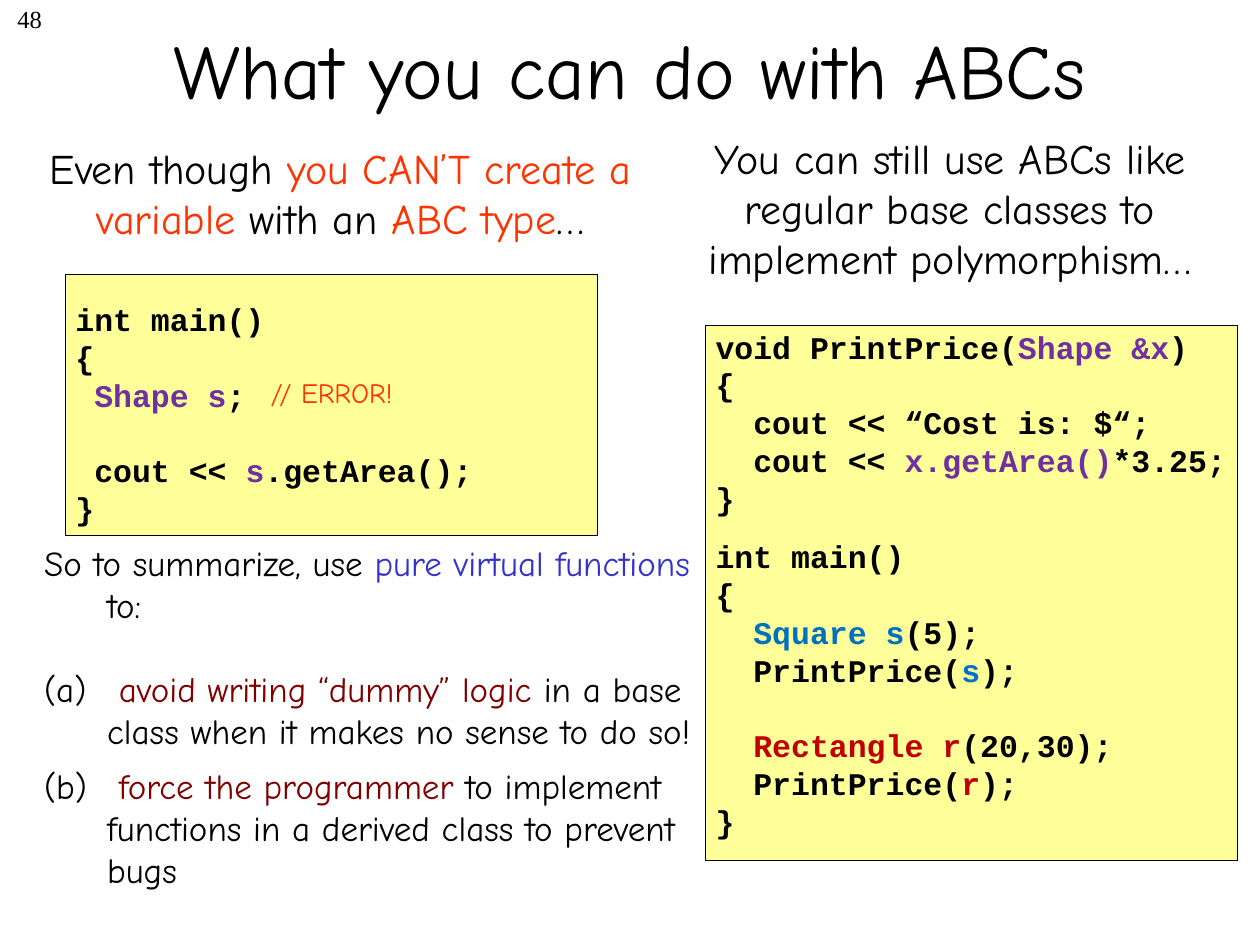
from dataclasses import dataclass

import pptx
import pptx.dml.color
import pptx.enum.shapes
import pptx.enum.text
import pptx.oxml
import pptx.oxml.ns
import pptx.util

Pt = pptx.util.Pt
Align = pptx.enum.text.PP_ALIGN
Anchor = pptx.enum.text.MSO_ANCHOR

HAND, CODE, SERIF = "Comic Neue", "Courier New", "Times New Roman"
BLACK, ORANGE, PURPLE, INDIGO = "000000", "FF3300", "7030A0", "3333CC"
BLUE, RED, MAROON, YELLOW = "0070C0", "C00000", "800000", "FFFF99"


@dataclass
class Box:
    left: float
    top: float
    width: float
    height: float


@dataclass
class Style:
    font: str
    size: float
    bold: bool = False
    align: Align = Align.LEFT
    line_spacing: float | None = None


@dataclass
class Line:
    """A paragraph; each piece is plain text or a (text, colour) pair."""
    pieces: list
    gap: float = 0
    bullet: str = ""


@dataclass
class CodePanel:
    frame: Box
    text: Box
    top_inset: float
    lines: list[Line]


HEADING = Style(HAND, 24, align=Align.CENTER)
LISTING = Style(CODE, 18, bold=True, line_spacing=21.6)

PANELS = [
    CodePanel(Box(37.4, 157, 304, 149), Box(36, 156, 312.5, 149), 15.6, [
        Line(["int main()"]),
        Line(["{"]),
        Line([" ", ("Shape s", PURPLE), ";"]),
        Line([" cout << ", ("s", PURPLE), ".getArea();"], gap=21.6),
        Line(["}"]),
    ]),
    CodePanel(Box(403.2, 185.8, 304, 306), Box(401.8, 183.6, 312.5, 300), 3.6, [
        Line(["void PrintPrice(", ("Shape &x", PURPLE), ")"]),
        Line(["{"]),
        Line(["  cout << “Cost is: $“;"]),
        Line(["  cout << ", ("x.getArea()", PURPLE), "*3.25;"]),
        Line(["}"]),
        Line(["int main()"], gap=12),
        Line(["{"]),
        Line(["  ", ("Square s", BLUE), "(5);"]),
        Line(["  PrintPrice(", ("s", BLUE), ");"]),
        Line(["  ", ("Rectangle r", RED), "(20,30);"], gap=21.6),
        Line(["  PrintPrice(", ("r", RED), ");"]),
        Line(["}"]),
    ]),
]

NO_BULLET = "<a:buNone {}/>"
LETTERED = '<a:buAutoNum {} type="alphaLcParenBoth"/>'

SUMMARY = [
    Line(["So to summarize, use ", ("pure virtual functions", INDIGO), " to:"],
         bullet=NO_BULLET),
    Line([" ", ("avoid writing “dummy” logic", MAROON),
          " in a base class when it makes no sense to do so!"],
         gap=24, bullet=LETTERED),
    Line([" ", ("force the programmer", MAROON),
          " to implement functions in a derived class to prevent bugs"],
         gap=7.4, bullet=LETTERED),
]


def rgb(colour: str) -> pptx.dml.color.RGBColor:
    return pptx.dml.color.RGBColor.from_string(colour)


def place(shape, box: Box) -> None:
    shape.left, shape.top = Pt(box.left), Pt(box.top)
    shape.width, shape.height = Pt(box.width), Pt(box.height)


def write(text_frame, lines: list[Line], style: Style) -> None:
    text_frame.auto_size = pptx.enum.text.MSO_AUTO_SIZE.NONE
    for index, line in enumerate(lines):
        paragraph = text_frame.add_paragraph() if index else text_frame.paragraphs[0]
        paragraph.alignment = style.align
        if style.line_spacing:
            paragraph.line_spacing = Pt(style.line_spacing)
        paragraph.space_before = Pt(line.gap)
        if line.bullet:
            properties = paragraph._p.get_or_add_pPr()
            properties.set("marL", str(Pt(36)))
            properties.set("indent", str(Pt(-36)))
            namespace = pptx.oxml.ns.nsdecls("a")
            properties.append(pptx.oxml.parse_xml(line.bullet.format(namespace)))
        paragraph.font.name = style.font
        paragraph.font.size = Pt(style.size)
        paragraph.font.bold = style.bold
        paragraph.font.color.rgb = rgb(BLACK)
        for piece in line.pieces:
            text, colour = (piece, None) if isinstance(piece, str) else piece
            run = paragraph.add_run()
            run.text = text
            if colour:
                run.font.color.rgb = rgb(colour)


def add_text(shapes, box: Box, lines: list[Line], style: Style, wrap: bool = True):
    shape = shapes.add_textbox(0, 0, 0, 0)
    place(shape, box)
    shape.text_frame.word_wrap = wrap
    write(shape.text_frame, lines, style)
    return shape


def add_code_panel(slide, panel: CodePanel) -> None:
    group = slide.shapes.add_group_shape()
    frame = group.shapes.add_shape(pptx.enum.shapes.MSO_SHAPE.RECTANGLE, 0, 0, 0, 0)
    place(frame, panel.frame)
    frame.shadow.inherit = False
    frame.fill.solid()
    frame.fill.fore_color.rgb = rgb(YELLOW)
    frame.line.color.rgb = rgb(BLACK)
    frame.line.width = Pt(0.25)
    listing = add_text(group.shapes, panel.text, panel.lines, LISTING)
    listing.text_frame.margin_top = Pt(panel.top_inset)
    # Fit the group to its children now that they are placed.
    boxes = (panel.frame, panel.text)
    left, top = min(box.left for box in boxes), min(box.top for box in boxes)
    right = max(box.left + box.width for box in boxes)
    bottom = max(box.top + box.height for box in boxes)
    transform = group._element.grpSpPr.get_or_add_xfrm()
    for offset in (transform.get_or_add_off(), transform.get_or_add_chOff()):
        offset.x, offset.y = Pt(left), Pt(top)
    for extent in (transform.get_or_add_ext(), transform.get_or_add_chExt()):
        extent.cx, extent.cy = Pt(right - left), Pt(bottom - top)


def fill_placeholder(shape, box: Box, lines: list[Line], style: Style, anchor: Anchor) -> None:
    place(shape, box)
    shape.text_frame.vertical_anchor = anchor
    write(shape.text_frame, lines, style)


def main() -> None:
    presentation = pptx.Presentation()
    presentation.slide_width, presentation.slide_height = Pt(720), Pt(540)
    slide = presentation.slides.add_slide(presentation.slide_layouts[1])
    title, body = slide.placeholders

    fill_placeholder(title, Box(54, -6, 612, 90), [Line(["What you can do with ABCs"])],
                     Style(HAND, 44, align=Align.CENTER), Anchor.MIDDLE)
    fill_placeholder(body, Box(18, 306, 389, 266), SUMMARY, Style(HAND, 20), Anchor.TOP)

    add_text(slide.shapes, Box(0, -1.4, 31, 36), [Line(["48"])],
             Style(SERIF, 14, align=Align.RIGHT))
    add_text(slide.shapes, Box(12, 77.8, 365, 65.5), [
        Line(["Even though ", ("you CAN’T create a variable", ORANGE),
              " with an ", ("ABC type", ORANGE), "…"])], HEADING)
    add_text(slide.shapes, Box(365.8, 72, 354, 93.6), [
        Line(["You can still use ABCs like regular base classes "
              "to implement polymorphism…"])], HEADING)
    for panel in PANELS:
        add_code_panel(slide, panel)
    add_text(slide.shapes, Box(147.6, 211, 93, 26.6), [Line([("// ERROR!", ORANGE)])],
             Style(HAND, 16), wrap=False)

    presentation.save("out.pptx")


if __name__ == "__main__":
    main()
